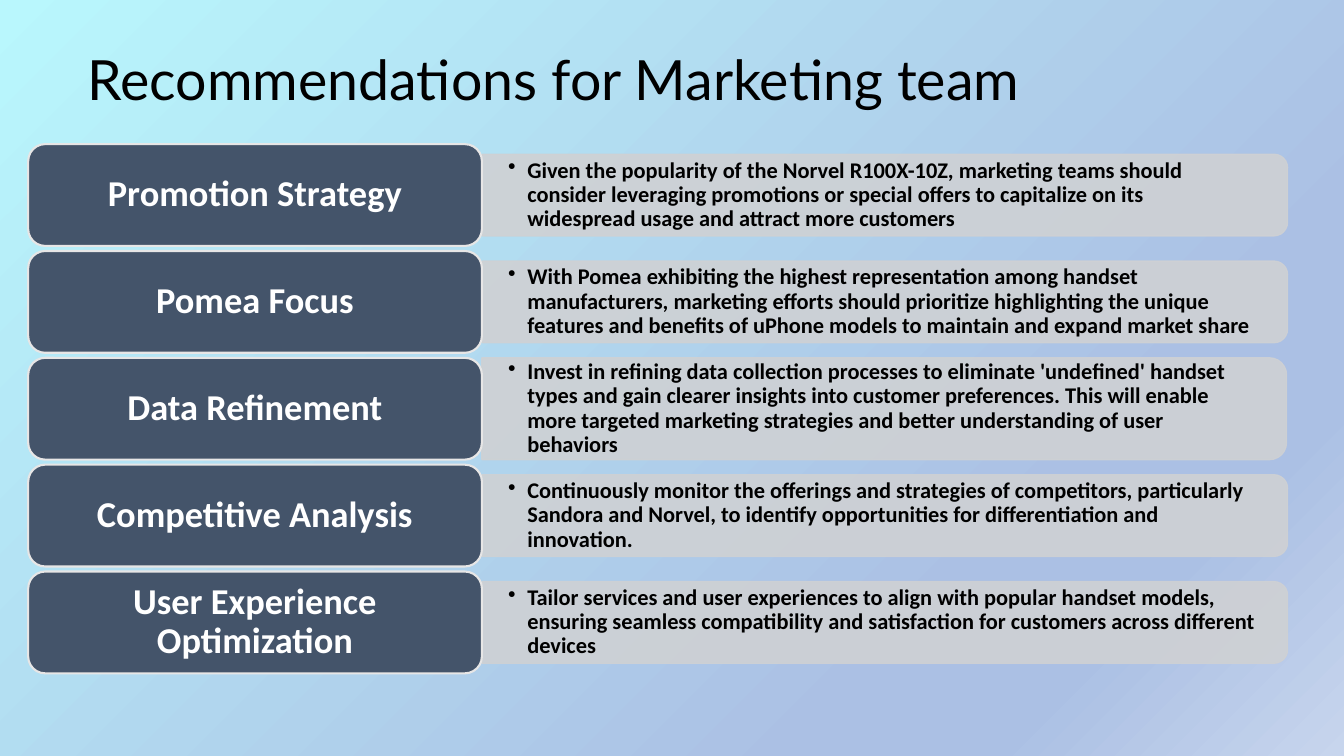
"""Build the marketing recommendations slide: five labelled panels on a gradient."""
from lxml import etree
from pptx import Presentation
from pptx.dml.color import RGBColor
from pptx.enum import shapes, text
from pptx.oxml import ns
from pptx.util import Inches, Pt

ROWS = [
    ("Promotion Strategy",
     "Given the popularity of the Norvel R100X-10Z, marketing teams should consider leveraging "
     "promotions or special offers to capitalize on its widespread usage and attract more customers",
     0.81, 7.99),
    ("Pomea Focus",
     "With Pomea exhibiting the highest representation among handset manufacturers, marketing "
     "efforts should prioritize highlighting the unique features and benefits of uPhone models "
     "to maintain and expand market share",
     0.81, 7.99),
    ("Data Refinement",
     "Invest in refining data collection processes to eliminate 'undefined' handset types and "
     "gain clearer insights into customer preferences. This will enable more targeted marketing "
     "strategies and better understanding of user behaviors",
     1.01, 7.98),
    ("Competitive Analysis",
     "Continuously monitor the offerings and strategies of competitors, particularly Sandora "
     "and Norvel, to identify opportunities for differentiation and innovation.",
     0.81, 7.99),
    ("User Experience Optimization",
     "Tailor services and user experiences to align with popular handset models, ensuring "
     "seamless compatibility and satisfaction for customers across different devices",
     0.81, 7.99),
]
STOPS = [(0, "B9F7FD"), (74, "ABC0E4"), (83, "ABC0E4"), (100, "C7D5ED")]
LEFT, TOP, PITCH = 0.28, 1.43, 1.06
LABEL_W, LABEL_H = 4.5, 1.01
PANEL_LEFT = LEFT + LABEL_W


def rgb(value):
    return RGBColor.from_string(value)


def write(sp, words, size, color, font="Calibri", bold=True, align=text.PP_ALIGN.LEFT,
          inset=(0.1, 0.05), bullet=False):
    tf = sp.text_frame
    tf.word_wrap = True
    tf.auto_size = text.MSO_AUTO_SIZE.NONE
    tf.vertical_anchor = text.MSO_ANCHOR.MIDDLE
    tf.margin_left = tf.margin_right = Inches(inset[0])
    tf.margin_top = tf.margin_bottom = Inches(inset[1])
    p = tf.paragraphs[0]
    p.alignment = align
    p.line_spacing = 0.9
    r = p.add_run()
    r.text = words
    r.font.name, r.font.size, r.font.bold = font, Pt(size), bold
    r.font.color.rgb = rgb(color)
    if bullet:
        p.level = 1
        pPr = p._p.get_or_add_pPr()
        pPr.set("marL", str(Inches(0.19)))
        pPr.set("indent", str(-Inches(0.19)))
        etree.SubElement(pPr, ns.qn("a:buChar"), char="•")


prs = Presentation()
prs.slide_width, prs.slide_height = Inches(13.33), Inches(7.5)
slide = prs.slides.add_slide(prs.slide_layouts[5])

fill = slide.background.fill
fill.gradient()
fill.gradient_angle = 315
stop_list = next(slide.element.iter(ns.qn("a:gsLst")))
for stop in list(stop_list):
    stop_list.remove(stop)
for position, color in STOPS:
    stop = etree.SubElement(stop_list, ns.qn("a:gs"), pos=str(position * 1000))
    etree.SubElement(stop, ns.qn("a:srgbClr"), val=color)

title = slide.shapes.title
title.left, title.top = Inches(0.77), Inches(0.51)
title.width, title.height = Inches(11.5), Inches(0.62)
write(title, "Recommendations for Marketing team", 39.6, "000000", font="Lato", bold=False)

for i, (heading, advice, panel_h, panel_w) in enumerate(ROWS):
    top = TOP + i * PITCH
    middle = top + LABEL_H / 2

    panel = slide.shapes.add_shape(
        shapes.MSO_SHAPE.ROUND_2_SAME_RECTANGLE,
        Inches(PANEL_LEFT + (panel_w - panel_h) / 2), Inches(middle - panel_w / 2),
        Inches(panel_h), Inches(panel_w))
    panel.rotation = 90
    panel.shadow.inherit = False
    panel.fill.solid()
    panel.fill.fore_color.rgb = rgb("CFD1D4")
    panel.line.color.rgb = rgb("CFD1D4")
    panel.line.width = Pt(1)
    for color in panel._element.spPr.iter(ns.qn("a:srgbClr")):
        etree.SubElement(color, ns.qn("a:alpha"), val="90000")

    text_h = panel_h - 0.09
    box = slide.shapes.add_textbox(Inches(PANEL_LEFT - 0.01), Inches(middle - text_h / 2),
                                   Inches(panel_w - 0.04), Inches(text_h))
    write(box, advice, 16, "000000", inset=(0.27, 0.14), bullet=True)

    label = slide.shapes.add_shape(shapes.MSO_SHAPE.ROUNDED_RECTANGLE, Inches(LEFT), Inches(top),
                                   Inches(LABEL_W), Inches(LABEL_H))
    label.shadow.inherit = False
    label.fill.solid()
    label.fill.fore_color.rgb = rgb("44546A")
    label.line.color.rgb = rgb("E7E6E6")
    label.line.width = Pt(1.5)
    write(label, heading, 26, "FFFFFF", align=text.PP_ALIGN.CENTER, inset=(0.11, 0.05))

prs.save("out.pptx")
